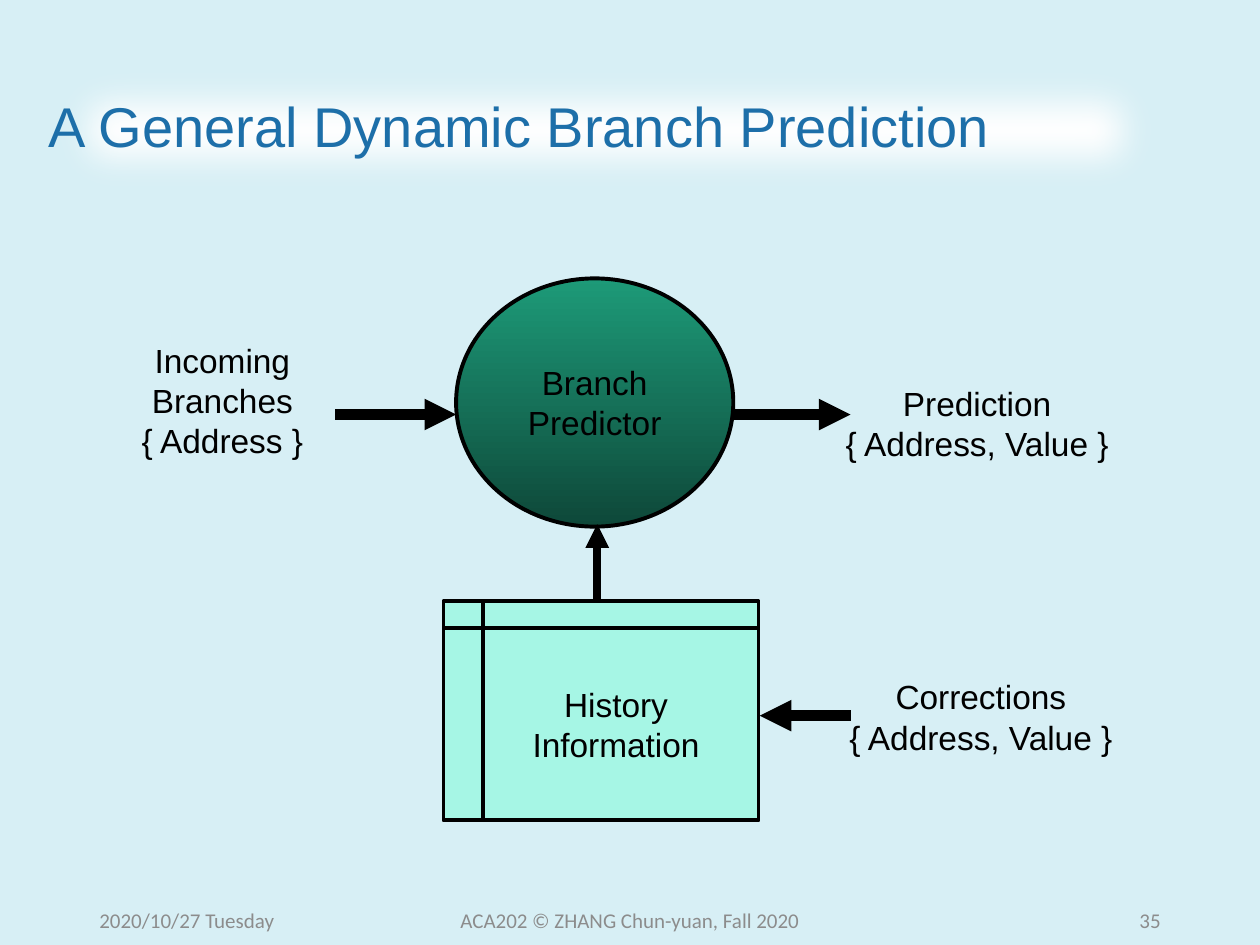
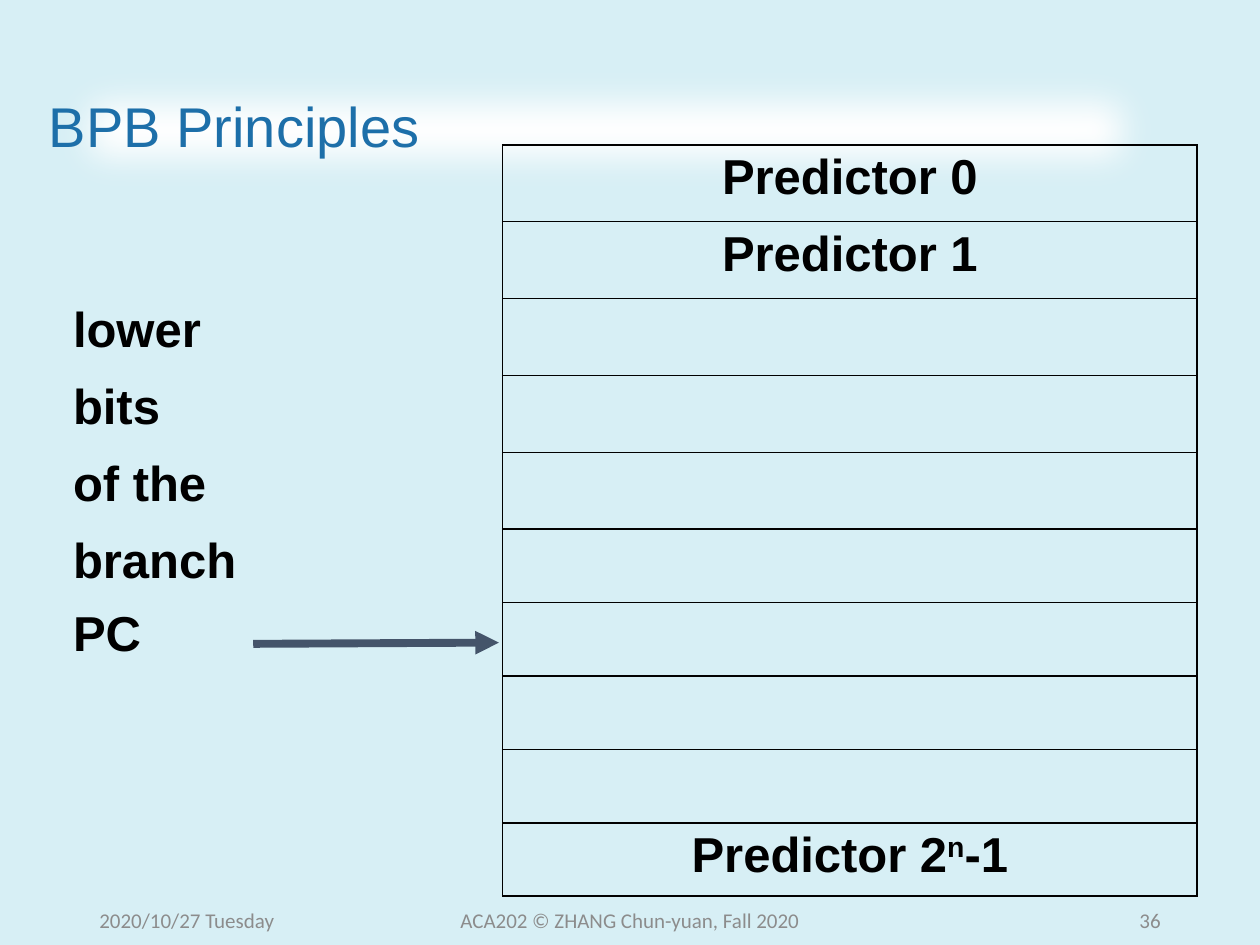
from dataclasses import dataclass
from typing import Any

from lxml import etree
from pptx import Presentation
from pptx.dml.color import RGBColor
from pptx.enum.shapes import MSO_CONNECTOR, MSO_SHAPE
from pptx.enum.text import MSO_ANCHOR, PP_ALIGN
from pptx.oxml.ns import qn
from pptx.util import Emu, Inches, Pt

RECTANGLE = MSO_SHAPE.RECTANGLE
ELLIPSE = MSO_SHAPE.OVAL
STORAGE = MSO_SHAPE.FLOWCHART_INTERNAL_STORAGE
STRAIGHT = MSO_CONNECTOR.STRAIGHT
LEFT, CENTER, RIGHT = PP_ALIGN.LEFT, PP_ALIGN.CENTER, PP_ALIGN.RIGHT
TOP, MIDDLE = MSO_ANCHOR.TOP, MSO_ANCHOR.MIDDLE

SKY = RGBColor(0xD7, 0xEF, 0xF5)
WHITE = RGBColor(0xFF, 0xFF, 0xFF)
BLACK = RGBColor(0, 0, 0)
TITLE_BLUE = RGBColor(0x1D, 0x6F, 0xA9)
FOOTER_GRAY = RGBColor(0x8C, 0x8C, 0x8C)
GREEN = RGBColor(0x1D, 0x9A, 0x78)
DARK_GREEN = RGBColor(0x0E, 0x48, 0x39)
MINT = RGBColor(0xA6, 0xF6, 0xE5)
SLATE = RGBColor(0x44, 0x54, 0x6A)

SLIDE_WIDTH, SLIDE_HEIGHT = Inches(10), Inches(7.5)
GRID_COLUMNS, GRID_ROWS = 100, 75
NO_TABLE_STYLE = "{2D5ABB26-0587-4C30-8999-92F81FD0307C}"
SOFT_EDGE = Inches(0.35)
CELL_SIDE, CELL_TOP = Inches(0.08), Inches(0.04)


@dataclass(frozen=True)
class TextStyle:
    font: dict[str, Any]
    color: RGBColor


@dataclass(frozen=True)
class Area:
    """A rectangle in grid columns and rows."""
    column: float
    row: float
    columns: float
    rows: float

    def lengths(self) -> tuple[Emu, Emu, Emu, Emu]:
        return (across(self.column), down(self.row),
                across(self.columns), down(self.rows))


@dataclass(frozen=True)
class Label:
    area: Area
    lines: tuple[str, ...]
    wrap: bool = True


@dataclass(frozen=True)
class Arrow:
    start: tuple[float, float]
    end: tuple[float, float]
    points: float = 6
    color: RGBColor = BLACK


@dataclass(frozen=True)
class FooterPart:
    area: Area
    align: PP_ALIGN
    text: str


TITLE = TextStyle({"name": "Arial", "size": Pt(32)}, TITLE_BLUE)
DIAGRAM = TextStyle({"name": "Arial", "size": Pt(19.1)}, BLACK)
TABLE = TextStyle({"name": "Arial", "size": Pt(28), "bold": True}, BLACK)
FOOTER = TextStyle({"name": "Calibri", "size": Pt(12)}, FOOTER_GRAY)

TITLE_AREA = Area(2.9, 4, 90.2, 12.6)
FOOTER_PARTS = (
    FooterPart(Area(6.9, 71, 22.5, 4), LEFT, "2020/10/27 Tuesday"),
    FooterPart(Area(33.1, 71, 33.8, 4), CENTER, "ACA202 © ZHANG Chun-yuan, Fall 2020"),
    FooterPart(Area(70.6, 71, 22.5, 4), RIGHT, "{number}"),
)

PREDICTOR = Label(Area(36.2, 22.1, 22, 19.7), ("Branch", "Predictor"), wrap=False)
HISTORY = Label(Area(35.2, 47.7, 25, 17.4), ("History ", "Information "))
FLOW_LABELS = (
    Label(Area(7.8, 26.5, 19.7, 10.6), ("Incoming Branches", "{ Address }")),
    Label(Area(66, 29.9, 23.1, 7.4), ("Prediction", "{ Address, Value }"), wrap=False),
    Label(Area(66.3, 53.2, 23.1, 7.4), ("Corrections", "{ Address, Value }"), wrap=False),
)
FLOW_ARROWS = (
    Arrow((26.6, 32.9), (36.2, 32.9)),
    Arrow((58.2, 32.9), (67.5, 32.9)),
    Arrow((67.5, 56.8), (60.3, 56.8)),
    Arrow((47.4, 47.7), (47.4, 41.6), points=4.5),
)

BUFFER_AREA = Area(5, 11.5, 90, 59.6)
BUFFER_COLUMNS = (34.9, 55.1)
BUFFER_ROWS = (6.1,) * 5 + (5.83,) * 5
INDEX_WORDS = {2: "lower", 3: "bits", 4: "of the", 5: "branch", 6: "PC"}
PREDICTOR_ENTRIES = {0: ("Predictor 0",), 1: ("Predictor 1",),
                     9: ("Predictor 2", "n", "-1")}
INDEX_ARROW = Arrow((20.1, 51.1), (39.6, 51), points=4.5, color=SLATE)


def across(columns: float) -> Emu:
    return Emu(round(SLIDE_WIDTH * columns / GRID_COLUMNS))


def down(rows: float) -> Emu:
    return Emu(round(SLIDE_HEIGHT * rows / GRID_ROWS))


def apply(target: Any, values: dict[str, Any]) -> None:
    for name, value in values.items():
        setattr(target, name, value)


def add_span(para: Any, text: str, style: TextStyle) -> Any:
    span = para.add_run()
    span.text = text
    apply(span.font, style.font)
    span.font.color.rgb = style.color
    return span


def write_lines(shape: Any, lines: tuple[str, ...], style: TextStyle,
                align: PP_ALIGN, anchor: MSO_ANCHOR, wrap: bool = True) -> None:
    frame = shape.text_frame
    apply(frame, {"word_wrap": wrap, "vertical_anchor": anchor})
    for index, line in enumerate(lines):
        para = frame.add_paragraph() if index else frame.paragraphs[0]
        para.alignment = align
        add_span(para, line, style)


def add_title(page: Any, text: str) -> None:
    band = page.shapes.add_shape(RECTANGLE, *TITLE_AREA.lengths())
    band.fill.solid()
    band.fill.fore_color.rgb = WHITE
    band.line.fill.background()
    band.shadow.inherit = False
    effects = band._element.spPr.find(qn("a:effectLst"))
    etree.SubElement(effects, qn("a:softEdge"), rad=str(SOFT_EDGE))
    write_lines(band, (text,), TITLE, LEFT, MIDDLE)
    band.text_frame.paragraphs[0].line_spacing = 0.9


def add_footer(page: Any, number: int) -> None:
    for part in FOOTER_PARTS:
        box = page.shapes.add_textbox(*part.area.lengths())
        write_lines(box, (part.text.format(number=number),), FOOTER, part.align, MIDDLE)


def add_page(deck: Any, title: str) -> Any:
    page = deck.slides.add_slide(deck.slide_layouts[6])
    add_title(page, title)
    return page


def add_arrow(shapes: Any, arrow: Arrow) -> None:
    (x1, y1), (x2, y2) = arrow.start, arrow.end
    connector = shapes.add_connector(STRAIGHT, across(x1), down(y1), across(x2), down(y2))
    connector.line.color.rgb = arrow.color
    connector.line.width = Pt(arrow.points)
    properties = connector._element.spPr
    etree.SubElement(properties.find(qn("a:ln")), qn("a:tailEnd"), type="triangle")
    etree.SubElement(properties, qn("a:effectLst"))


def add_node(shapes: Any, kind: MSO_SHAPE, label: Label) -> Any:
    """Draw an outlined preset shape with its label; the caller fills it."""
    node = shapes.add_shape(kind, *label.area.lengths())
    node.shadow.inherit = False
    node.line.color.rgb = BLACK
    node.line.width = Pt(2.25)
    write_lines(node, label.lines, DIAGRAM, CENTER, MIDDLE, label.wrap)
    return node


def draw_prediction_flow(page: Any) -> None:
    shapes = page.shapes.add_group_shape().shapes
    predictor = add_node(shapes, ELLIPSE, PREDICTOR)
    predictor.fill.gradient()
    predictor.fill.gradient_angle = 270
    for stop, color in zip(predictor.fill.gradient_stops, (GREEN, DARK_GREEN)):
        stop.color.rgb = color
    history = add_node(shapes, STORAGE, HISTORY)
    history.fill.solid()
    history.fill.fore_color.rgb = MINT
    for label in FLOW_LABELS:
        box = shapes.add_textbox(*label.area.lengths())
        write_lines(box, label.lines, DIAGRAM, CENTER, TOP, label.wrap)
    for arrow in FLOW_ARROWS:
        add_arrow(shapes, arrow)


def add_borders(cell: Any) -> None:
    properties = cell._tc.get_or_add_tcPr()
    for side in ("lnL", "lnR", "lnT", "lnB"):
        line = etree.SubElement(properties, qn(f"a:{side}"), w=str(Pt(1)))
        fill = etree.SubElement(line, qn("a:solidFill"))
        etree.SubElement(fill, qn("a:srgbClr"), val=str(BLACK))


def fill_cell(cell: Any, spans: tuple[str, ...], align: PP_ALIGN) -> None:
    """Write the spans into the cell, raising every second one."""
    apply(cell, {"margin_left": CELL_SIDE, "margin_right": CELL_SIDE,
                 "margin_top": CELL_TOP, "margin_bottom": CELL_TOP})
    cell.fill.background()
    para = cell.text_frame.paragraphs[0]
    para.alignment = align
    for index, text in enumerate(spans):
        span = add_span(para, text, TABLE)
        if index % 2:
            span.font._element.set("baseline", "30000")


def draw_prediction_buffer(page: Any) -> None:
    table = page.shapes.add_table(len(BUFFER_ROWS), len(BUFFER_COLUMNS),
                                  *BUFFER_AREA.lengths()).table
    apply(table, {"first_row": False, "horz_banding": False})
    table._tbl.tblPr.find(qn("a:tableStyleId")).text = NO_TABLE_STYLE
    for column, width in zip(table.columns, BUFFER_COLUMNS):
        column.width = across(width)
    for index, height in enumerate(BUFFER_ROWS):
        table.rows[index].height = down(height)
        word_cell, entry_cell = table.cell(index, 0), table.cell(index, 1)
        add_borders(entry_cell)
        word = INDEX_WORDS.get(index)
        fill_cell(word_cell, (word,) if word else (), LEFT)
        fill_cell(entry_cell, PREDICTOR_ENTRIES.get(index, ()), CENTER)
    add_arrow(page.shapes, INDEX_ARROW)


def main() -> None:
    deck = Presentation()
    apply(deck, {"slide_width": SLIDE_WIDTH, "slide_height": SLIDE_HEIGHT})
    background = deck.slide_master.background.fill
    background.solid()
    background.fore_color.rgb = SKY
    contents = (("A General Dynamic Branch Prediction", draw_prediction_flow),
                ("BPB Principles", draw_prediction_buffer))
    for number, (title, draw) in enumerate(contents, start=35):
        page = add_page(deck, title)
        draw(page)
        add_footer(page, number)
    deck.save("out.pptx")


if __name__ == "__main__":
    main()
